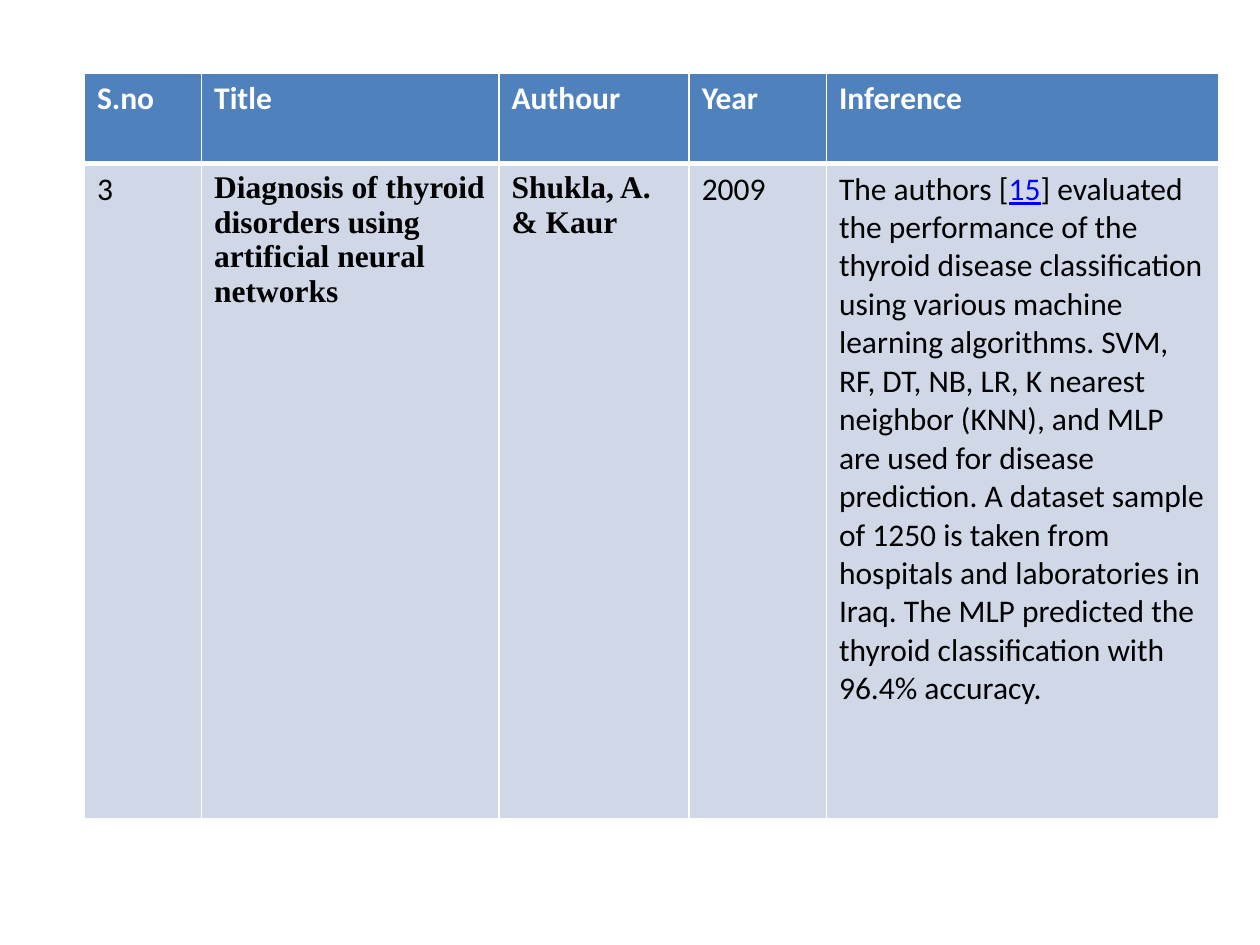
from pptx import Presentation
from pptx import util as u
from pptx.dml.color import RGBColor
from pptx.oxml import parse_xml
from pptx.oxml.ns import nsdecls

COLORS = {"header": "4F81BD", "body": "D0D8E8", "white": "FFFFFF",
          "text": "000000", "link": "0000FF"}
SANS, SERIF = "Calibri", "Times New Roman"
COLUMNS = [("S.no", 0.93), ("Title", 2.36), ("Authour", 1.51),
           ("Year", 1.09), ("Inference", 3.11)]
ROW_HEIGHTS = [0.72, 5.2]
STUDY = [
    (["3"], SANS),
    (["Diagnosis of thyroid disorders using artificial neural networks"], SERIF),
    (["Shukla, A. & Kaur"], SERIF),
    (["2009"], SANS),
    (["The authors [", "15",
      "] evaluated the performance of the thyroid disease classification using "
      "various machine learning algorithms. SVM, RF, DT, NB, LR, K nearest "
      "neighbor (KNN), and MLP are used for disease prediction. A dataset sample "
      "of 1250 is taken from hospitals and laboratories in Iraq. The MLP predicted "
      "the thyroid classification with 96.4% accuracy."], SANS),
]


class SlideBuilder:
    """Draws a literature survey table in one consistent style."""

    def __init__(self, deck):
        self.slide = deck.slides.add_slide(deck.slide_layouts[6])
        self.size = 18

    def color(self, name):
        return RGBColor.from_string(COLORS[name])

    def table(self, left, top, widths, heights):
        frame = self.slide.shapes.add_table(
            len(heights), len(widths), u.Inches(left), u.Inches(top),
            u.Inches(sum(widths)), u.Inches(sum(heights)))
        for column, width in zip(frame.table.columns, widths):
            column.width = u.Inches(width)
        for row, height in zip(frame.table.rows, heights):
            row.height = u.Inches(height)
        return frame.table

    def borders(self, cell, top, bottom):
        properties = cell._tc.get_or_add_tcPr()
        weights = {"lnL": 1, "lnR": 1, "lnT": top, "lnB": bottom}
        for index, (side, points) in enumerate(weights.items()):
            properties.insert(index, parse_xml(
                f'<a:{side} {nsdecls("a")} w="{u.Pt(points)}"><a:solidFill>'
                f'<a:srgbClr val="{COLORS["white"]}"/></a:solidFill></a:{side}>'))

    def cell(self, cell, texts, fill, color, font, bold, top=1, bottom=1):
        cell.fill.solid()
        cell.fill.fore_color.rgb = self.color(fill)
        self.borders(cell, top, bottom)
        para = cell.text_frame.paragraphs[0]
        para.font.size, para.font.name, para.font.bold = u.Pt(self.size), font, bold
        for text in texts:
            span = para.add_run()
            span.text = text
            span.font.size, span.font.name, span.font.bold = u.Pt(self.size), font, bold
            span.font.color.rgb = self.color(color)
        return para

    def citation(self, span):
        span.font.color.rgb = self.color("link")
        span.font.underline = True


def main():
    deck = Presentation()
    deck.slide_width, deck.slide_height = u.Inches(10), u.Inches(7.5)
    builder = SlideBuilder(deck)
    table = builder.table(0.67, 0.58, [width for _, width in COLUMNS], ROW_HEIGHTS)
    for index, (heading, _) in enumerate(COLUMNS):
        builder.cell(table.cell(0, index), [heading], "header", "white", SANS, True, bottom=3)
    for index, (texts, font) in enumerate(STUDY):
        para = builder.cell(table.cell(1, index), texts, "body", "text", font,
                            font == SERIF, top=3)
    builder.citation(para.runs[1])
    deck.save("out.pptx")


if __name__ == "__main__":
    main()
